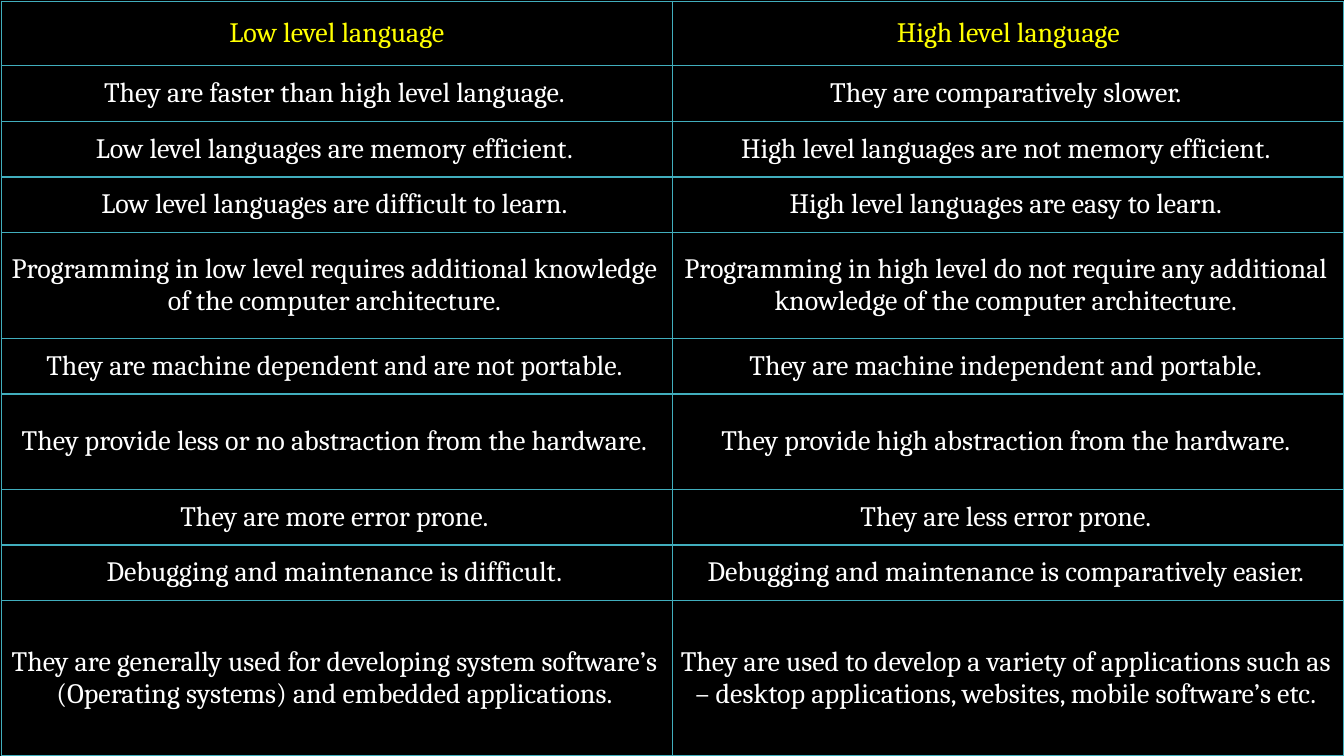
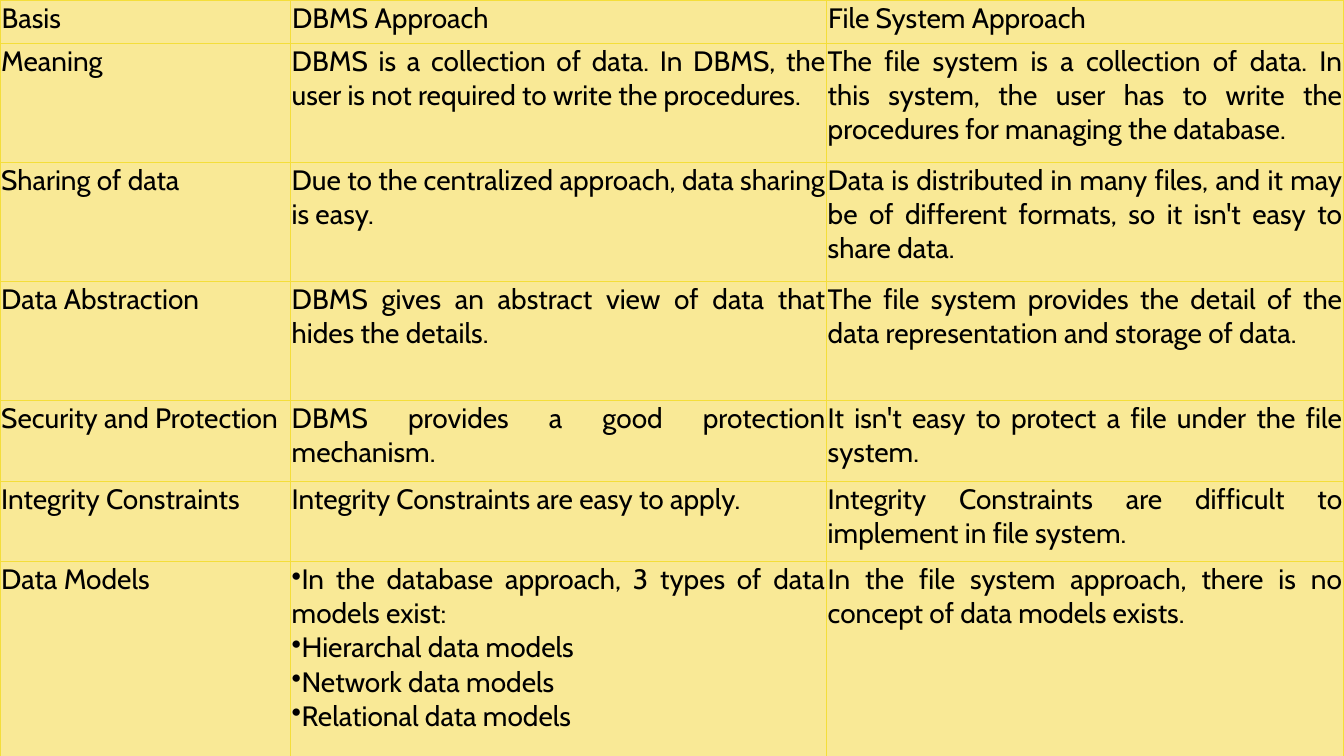
from dataclasses import dataclass

from pptx import Presentation
from pptx.dml.color import RGBColor
from pptx.enum import text
from pptx.oxml import ns, xmlchemy
from pptx.util import Cm, Pt

BLACK = RGBColor(0x00, 0x00, 0x00)
WHITE = RGBColor(0xFF, 0xFF, 0xFF)
YELLOW = RGBColor(0xFF, 0xFF, 0x00)
TEAL = RGBColor(0x41, 0xAE, 0xBD)
GOLD = RGBColor(0xF4, 0xDE, 0x3A)
CREAM = RGBColor(0xF9, 0xE9, 0x96)

FONT_SIZE = Pt(20)
BULLET = "•"


@dataclass
class CellStyle:
    """Text settings of a row; margins are left, top, right, bottom in cm."""
    color: RGBColor
    alignment: text.PP_ALIGN
    margins: tuple


@dataclass
class TableStyle:
    """Look of a whole table."""
    font: str
    fill: RGBColor
    border: RGBColor
    border_width: float
    anchor: text.MSO_ANCHOR
    header: CellStyle
    body: CellStyle


LEVELS_STYLE = TableStyle(
    "Cambria", BLACK, TEAL, 1, text.MSO_ANCHOR.MIDDLE,
    CellStyle(YELLOW, text.PP_ALIGN.CENTER, (0.4, 0.13, 0.4, 0.13)),
    CellStyle(WHITE, text.PP_ALIGN.CENTER, (0.13, 0.05, 0.25, 0.05)))
STORAGE_STYLE = TableStyle(
    "Cabin", CREAM, GOLD, 0.5, text.MSO_ANCHOR.TOP,
    CellStyle(BLACK, text.PP_ALIGN.LEFT, (0.04, 0.04, 0.04, 0.04)),
    CellStyle(BLACK, text.PP_ALIGN.JUSTIFY, (0.03, 0.03, 0.03, 0.03)))

LEVELS_COLUMNS = [16.92, 16.92]
LEVELS_HEIGHTS = [1.63, 1.4, 1.4, 1.4, 2.67, 1.4, 2.41, 1.4, 1.4, 3.91]
LEVELS_ROWS = [
    ("Low level language", "High level language"),
    ("They are faster than high level language.",
     "They are comparatively slower."),
    ("Low level languages are memory efficient.",
     "High level languages are not memory efficient."),
    ("Low level languages are difficult to learn.",
     "High level languages are easy to learn."),
    ("Programming in low level requires additional knowledge of the "
     "computer architecture.",
     "Programming in high level do not require any additional knowledge of "
     "the computer architecture."),
    ("They are machine dependent and are not portable.",
     "They are machine independent and portable."),
    ("They provide less or no abstraction from the hardware.",
     "They provide high abstraction from the hardware."),
    ("They are more error prone.", "They are less error prone."),
    ("Debugging and maintenance is difficult.",
     "Debugging and maintenance is comparatively easier."),
    ("They are generally used for developing system software’s "
     "(Operating systems) and embedded applications.",
     "They are used to develop a variety of applications such as – desktop "
     "applications, websites, mobile software’s etc."),
]

STORAGE_COLUMNS = [7.32, 13.51, 13.03]
STORAGE_HEIGHTS = [1.09, 3, 3, 3, 2.03, 2.03, 4.9]
STORAGE_ROWS = [
    ("Basis", "DBMS Approach", "File System Approach"),
    ("Meaning",
     "DBMS is a collection of data. In DBMS, the user is not required to "
     "write the procedures.",
     "The file system is a collection of data. In this system, the user has "
     "to write the procedures for managing the database."),
    ("Sharing of data",
     "Due to the centralized approach, data sharing is easy.",
     "Data is distributed in many files, and it may be of different formats, "
     "so it isn't easy to share data."),
    ("Data Abstraction",
     "DBMS gives an abstract view of data that hides the details.",
     "The file system provides the detail of the data representation and "
     "storage of data."),
    ("Security and Protection",
     "DBMS provides a good protection mechanism.",
     "It isn't easy to protect a file under the file system."),
    ("Integrity Constraints",
     "Integrity Constraints are easy to apply.",
     "Integrity Constraints are difficult to implement in file system."),
    ("Data Models",
     ["In the database approach, 3 types of data models exist:",
      "Hierarchal data models",
      "Network data models",
      "Relational data models"],
     "In the file system approach, there is no concept of data models "
     "exists."),
]


def add_child(parent, tag, **attributes):
    """Append a DrawingML element with the given attributes."""
    child = xmlchemy.OxmlElement(tag)
    for name, value in attributes.items():
        child.set(name, str(value))
    parent.append(child)
    return child


def set_borders(cell, color, width):
    """Draw the same line on all four sides of a cell, before its fill."""
    properties = cell._tc.get_or_add_tcPr()
    for index, side in enumerate(("a:lnL", "a:lnR", "a:lnT", "a:lnB")):
        line = add_child(properties, side, w=int(Pt(width)))
        solid = add_child(line, "a:solidFill")
        add_child(solid, "a:srgbClr", val=color)
        properties.insert(index, line)


def set_bullet(paragraph):
    """Give a paragraph a bullet without any indent."""
    properties = paragraph._p.get_or_add_pPr()
    properties.set("marL", "0")
    properties.set("indent", "0")
    for old in properties.findall(ns.qn("a:buNone")):
        properties.remove(old)
    add_child(properties, "a:buChar", char=BULLET)


def fill_cell(cell, content, table_style, cell_style):
    """Write a string, or a list as bullets, and format the cell."""
    bulleted = isinstance(content, list)
    cell.text_frame.text = "\n".join(content) if bulleted else content
    cell.vertical_anchor = table_style.anchor
    (cell.margin_left, cell.margin_top,
     cell.margin_right, cell.margin_bottom) = map(Cm, cell_style.margins)
    cell.fill.solid()
    cell.fill.fore_color.rgb = table_style.fill
    set_borders(cell, table_style.border, table_style.border_width)
    for paragraph in cell.text_frame.paragraphs:
        paragraph.alignment = cell_style.alignment
        if bulleted:
            set_bullet(paragraph)
        for run in paragraph.runs:
            run.font.name = table_style.font
            run.font.size = FONT_SIZE
            run.font.color.rgb = cell_style.color


def add_comparison(presentation, rows, columns, heights, offset, style):
    """Add a slide filled by one comparison table."""
    slide = presentation.slides.add_slide(presentation.slide_layouts[6])
    table = slide.shapes.add_table(
        len(rows), len(columns), Cm(offset), Cm(offset),
        Cm(sum(columns)), Cm(sum(heights))).table
    table.horz_banding = False
    table.first_row = False
    for column, width in zip(table.columns, columns):
        column.width = Cm(width)
    for index, (row, height) in enumerate(zip(table.rows, heights)):
        row.height = Cm(height)
        cell_style = style.body if index else style.header
        for cell, content in zip(row.cells, rows[index]):
            fill_cell(cell, content, style, cell_style)


def main():
    """Build and save the presentation."""
    presentation = Presentation()
    presentation.slide_width = Cm(33.87)
    presentation.slide_height = Cm(19.05)
    background = presentation.slide_master.background.fill
    background.solid()
    background.fore_color.rgb = BLACK
    add_comparison(presentation, LEVELS_ROWS, LEVELS_COLUMNS,
                   LEVELS_HEIGHTS, 0.03, LEVELS_STYLE)
    add_comparison(presentation, STORAGE_ROWS, STORAGE_COLUMNS,
                   STORAGE_HEIGHTS, 0, STORAGE_STYLE)
    presentation.save("out.pptx")


main()
